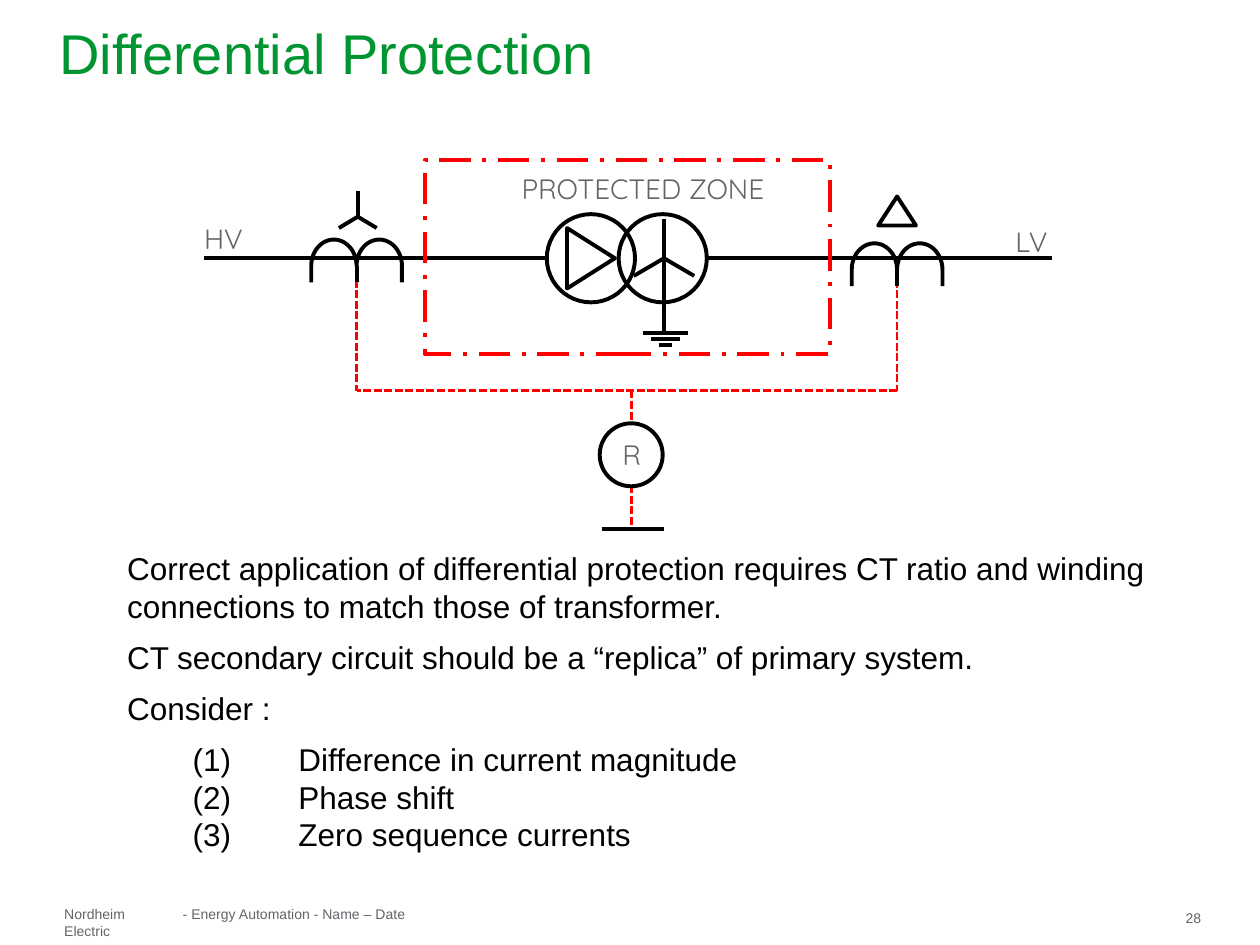
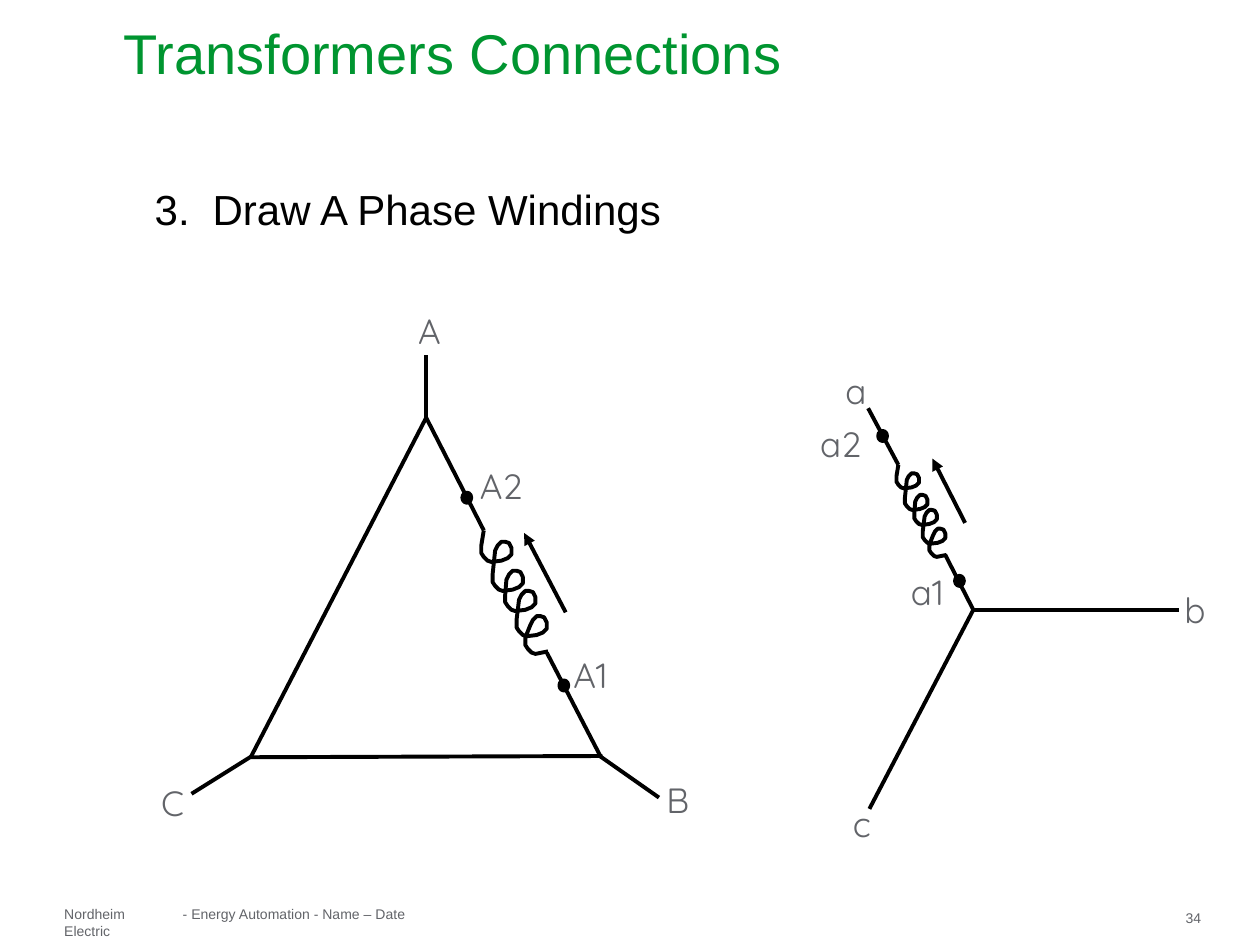
from math import cos, pi, sin

from lxml.etree import SubElement
from pptx import Presentation
from pptx.dml.color import RGBColor
from pptx.enum.dml import MSO_LINE_DASH_STYLE as Dash
from pptx.enum.shapes import MSO_CONNECTOR as Connector, MSO_SHAPE as Shape
from pptx.enum.text import MSO_ANCHOR as Anchor
from pptx.oxml.ns import qn
from pptx.util import Inches, Pt

# Shared look
GREEN = RGBColor(0x00, 0x95, 0x30)
GREY = RGBColor(0x62, 0x64, 0x69)
BLACK = RGBColor(0, 0, 0)
RED = RGBColor(0xFF, 0, 0)
WHITE = RGBColor(0xFF, 0xFF, 0xFF)
BODY_FONT, LABEL_FONT = "Arial", "Quicksand"
THICK, THIN = 2.25, 1.5
FOOTER_COMPANY = "Nordheim Electric"
FOOTER_TEXT = "- Energy Automation - Name – Date"

# Slide 1: text
REQUIREMENTS = [
    "Correct application of differential protection requires CT ratio and "
    "winding connections to match those of transformer.",
    "CT secondary circuit should be a “replica” of primary system.",
    "Consider :",
]
CONSIDERATIONS = ["Difference in current magnitude", "Phase shift",
                  "Zero sequence currents"]
ZONE_LABELS = [("HV", 1.61, 1.75, 0.43), ("LV", 8.05, 1.77, 0.43),
               ("PROTECTED ZONE", 4.13, 1.35, 2.14), ("R", 4.93, 3.46, 0.24)]

# Slide 1: circuit, in inches
LINE_Y, SECONDARY_Y = 2.05, 3.1
PROTECTED_ZONE = (3.37, 1.27, 3.22, 1.54)
WINDING_LEFTS, WINDING_SIZE = (4.34, 4.91), 0.7
CT_CENTRES = [(2.83, 2.11), (7.12, 2.14)]
CT_RADIUS, CT_RISE, CT_LEG = 0.18, 0.22, 0.13
RELAY_X, RELAY_TOP, RELAY_SIZE = 5.01, 3.36, 0.5
EARTH_X, EARTH_TOP, EARTH_STEP = 5.28, 2.64, 0.05
EARTH_HALF_WIDTHS = (0.18, 0.115, 0.05)

# Slide 2: labels and line ends, in inches
PHASE_LABELS = [
    ("A", 3.31, 2.45), ("B", 5.28, 6.17), ("C", 1.27, 6.19),
    ("A2", 3.8, 3.68), ("A1", 4.54, 5.18), ("a", 6.7, 2.92),
    ("b", 9.39, 4.66), ("c", 6.76, 6.36), ("a2", 6.5, 3.34),
    ("a1", 7.22, 4.52),
]
DELTA_LINES = [
    ((3.38, 2.82), (3.38, 3.33)), ((3.38, 3.31), (3.84, 4.21)),
    ((4.34, 5.18), (4.77, 6.01)), ((3.38, 3.32), (1.99, 6.01)),
    ((4.78, 6), (1.99, 6.01)), ((4.76, 6), (5.23, 6.33)),
    ((2.0, 6), (1.52, 6.3)),
]
STAR_LINES = [
    ((6.89, 3.24), (7.13, 3.69)), ((7.5, 4.4), (7.73, 4.85)),
    ((7.73, 4.84), (9.36, 4.84)), ((7.73, 4.83), (6.9, 6.42)),
]
TERMINALS = [(3.67, 3.91), (4.44, 5.4), (6.97, 3.42), (7.58, 4.57)]
VOLTAGE_ARROWS = [((4.49, 4.86), (4.16, 4.23)), ((7.66, 4.15), (7.4, 3.64))]

# Coil: one loop, repeated from each turn's lowest point, in 1/100 inch
COIL_LEAD_IN = [(-8, -13), (-8, -7), (-6, -4), (-3, -1), (0, 0)]
COIL_LOOP = [(8, -1), (13, -3), (16, -6), (16, -11), (14, -15),
             (11, -16), (8, -16), (5, -13), (3, -9)]
COIL_TURNS = [(6, 25), (15, 48), (25, 64), (34, 84)]
COIL_LAST, COIL_END = (41, 98), (51, 96)
COILS = [(3.84, 4.21, 1), (7.13, 3.69, 0.745)]  # left, top, scale


def style_line(shape, color, width, dash=None):
    shape.line.color.rgb = color
    shape.line.width = Pt(width)
    if dash:
        shape.line.dash_style = dash


def add_line(slide, start, end, color=BLACK, width=THICK, dash=None, arrow=False):
    line = slide.shapes.add_connector(
        Connector.STRAIGHT, *(Inches(value) for value in (*start, *end)))
    style_line(line, color, width, dash)
    properties = line._element.spPr
    if arrow:
        SubElement(line.line._get_or_add_ln(), qn("a:tailEnd"), type="triangle")
    SubElement(properties, qn("a:effectLst"))


def add_outline(slide, points, closed=False):
    points = [(Inches(x), Inches(y)) for x, y in points]
    builder = slide.shapes.build_freeform(*points[0], scale=1.0)
    builder.add_line_segments(points[1:], close=closed)
    shape = builder.convert_to_shape()
    shape.shadow.inherit = False
    shape.fill.background()
    style_line(shape, BLACK, THICK)


def add_preset(slide, kind, box, fill=None, color=BLACK, dash=None):
    shape = slide.shapes.add_shape(kind, *(Inches(value) for value in box))
    shape.shadow.inherit = False
    if fill is None:
        shape.fill.background()
    else:
        shape.fill.solid()
        shape.fill.fore_color.rgb = fill
    style_line(shape, color, THICK, dash)


def add_text(slide, box, lines, size, color=BLACK, font=BODY_FONT,
             inset=(0, 0), anchor=Anchor.TOP, wrap=True):
    frame = slide.shapes.add_textbox(*(Inches(value) for value in box)).text_frame
    frame.word_wrap = wrap
    frame.vertical_anchor = anchor
    frame.margin_left = frame.margin_right = Inches(inset[0])
    frame.margin_top = frame.margin_bottom = Inches(inset[1])
    frame.text = "\n".join(lines)
    for paragraph in frame.paragraphs:
        paragraph.font.size = Pt(size)
        paragraph.font.name = font
        paragraph.font.color.rgb = color
    return frame.paragraphs


def add_label(slide, text, left, top, width, size):
    add_text(slide, (left, top, width, 0.4), [text], size, GREY, LABEL_FONT,
             inset=(0.01, 0.01), wrap=len(text) > 2)


def set_tabs(paragraph, *stops):
    properties = paragraph._p.get_or_add_pPr()
    tabs = properties.makeelement(qn("a:tabLst"), {})
    for stop in stops:
        SubElement(tabs, qn("a:tab"), pos=str(Inches(stop)), algn="l")
    # The tab list comes before any default run properties
    defaults = properties.find(qn("a:defRPr"))
    if defaults is None:
        properties.append(tabs)
    else:
        defaults.addprevious(tabs)


def add_base_slide(presentation, title, title_box, number):
    slide = presentation.slides.add_slide(presentation.slide_layouts[6])
    add_text(slide, (0.51, 7.19, 0.8, 0.26), [FOOTER_COMPANY], 8, GREY)
    add_text(slide, (1.45, 7.19, 1.81, 0.13), [FOOTER_TEXT], 8, GREY, wrap=False)
    add_text(slide, (9.41, 7.22, 0.32, 0.13), [str(number)], 8, GREY)
    add_text(slide, title_box, [title], 32, GREEN,
             inset=(0, 0.01), anchor=Anchor.MIDDLE)
    return slide


def add_star(slide, centre, top, arm_x, arm_y):
    x, y = centre
    for end in ((x, top), (x - arm_x, y + arm_y), (x + arm_x, y + arm_y)):
        add_line(slide, centre, end)


def add_current_transformer(slide, x, y):
    steps = [pi * i / 24 for i in range(25)]
    arches = [(centre - CT_RADIUS * cos(angle), y - CT_RISE * sin(angle) * 0.95)
              for centre in (x - CT_RADIUS, x + CT_RADIUS) for angle in steps]
    foot = y + CT_LEG
    add_outline(slide, [(x - 2 * CT_RADIUS, foot), *arches,
                        (x + 2 * CT_RADIUS, foot)])
    add_line(slide, (x, y), (x, foot))


def add_coil(slide, left, top, scale):
    points = [(0, 0)]
    for x, y in COIL_TURNS:
        points += [(x + dx, y + dy) for dx, dy in COIL_LEAD_IN + COIL_LOOP]
    points += [(COIL_LAST[0] + dx, COIL_LAST[1] + dy) for dx, dy in COIL_LEAD_IN]
    points.append(COIL_END)
    add_outline(slide, [(left + x * scale / 100, top + y * scale / 100)
                        for x, y in points])


def build_protection_slide(presentation):
    slide = add_base_slide(presentation, "Differential Protection",
                           (0.47, 0.09, 9.06, 0.65), 28)

    # Secondary circuit and relay
    left_ct, right_ct = (x for x, _ in CT_CENTRES)
    for start, end in [((RELAY_X, SECONDARY_Y), (RELAY_X, 4.21)),
                       ((left_ct, 2.22), (left_ct, SECONDARY_Y)),
                       ((right_ct, 2.22), (right_ct, SECONDARY_Y)),
                       ((right_ct, SECONDARY_Y), (left_ct, SECONDARY_Y))]:
        add_line(slide, start, end, RED, THIN, Dash.SQUARE_DOT)
    add_preset(slide, Shape.OVAL, (RELAY_X - RELAY_SIZE / 2, RELAY_TOP,
                                   RELAY_SIZE, RELAY_SIZE), WHITE)
    add_line(slide, (4.78, 4.2), (5.27, 4.2))

    # Power transformer on the primary line
    for left in WINDING_LEFTS:
        add_preset(slide, Shape.OVAL, (left, LINE_Y - WINDING_SIZE / 2,
                                       WINDING_SIZE, WINDING_SIZE))
    add_line(slide, (1.62, LINE_Y), (4.34, LINE_Y))
    add_line(slide, (5.62, LINE_Y), (8.35, LINE_Y))
    add_outline(slide, [(4.5, 1.81), (4.88, LINE_Y), (4.5, 2.29)], closed=True)
    add_star(slide, (5.27, LINE_Y), 1.74, 0.24, 0.14)
    add_line(slide, (5.27, LINE_Y), (5.27, EARTH_TOP))
    for row, half in enumerate(EARTH_HALF_WIDTHS):
        y = EARTH_TOP + row * EARTH_STEP
        add_line(slide, (EARTH_X - half, y), (EARTH_X + half, y))
    add_preset(slide, Shape.RECTANGLE, PROTECTED_ZONE, color=RED,
               dash=Dash.LONG_DASH_DOT)

    # Current transformers with their connection symbols
    for x, y in CT_CENTRES:
        add_current_transformer(slide, x, y)
    add_star(slide, (2.84, 1.72), 1.52, 0.15, 0.09)
    add_outline(slide, [(7.12, 1.56), (7.27, 1.79), (6.97, 1.79)], closed=True)
    for text, left, top, width in ZONE_LABELS:
        add_label(slide, text, left, top, width, 16)

    # Explanation
    numbered = [f"\t({i})\t{text}" for i, text in enumerate(CONSIDERATIONS, 1)]
    paragraphs = add_text(slide, (0.91, 4.31, 8.82, 2.58),
                          REQUIREMENTS + numbered, 18, inset=(0.1, 0.05))
    for index, paragraph in enumerate(paragraphs):
        if index < len(REQUIREMENTS):
            paragraph.space_after = Pt(7.5)
        else:
            set_tabs(paragraph, 0.52, 1.36)


def build_connections_slide(presentation):
    slide = add_base_slide(presentation, "Transformers Connections",
                           (0.98, 0.15, 8.83, 0.53), 34)
    heading = add_text(slide, (1.13, 1.19, 5.84, 0.93),
                       ["3.\tDraw A Phase Windings"], 24,
                       inset=(0.1, 0.05), anchor=Anchor.MIDDLE)
    set_tabs(heading[0], 0.46)

    # Delta and star windings
    for start, end in DELTA_LINES + STAR_LINES:
        add_line(slide, start, end)
    for coil in COILS:
        add_coil(slide, *coil)
    for left, top in TERMINALS:
        add_preset(slide, Shape.OVAL, (left, top, 0.07, 0.08), BLACK)
    for start, end in VOLTAGE_ARROWS:
        add_line(slide, start, end, arrow=True)
    for text, left, top in PHASE_LABELS:
        add_label(slide, text, left, top, 0.4, 20)


def main():
    presentation = Presentation()
    presentation.slide_width = Inches(10)
    presentation.slide_height = Inches(7.5)
    build_protection_slide(presentation)
    build_connections_slide(presentation)
    presentation.save("out.pptx")


if __name__ == "__main__":
    main()
